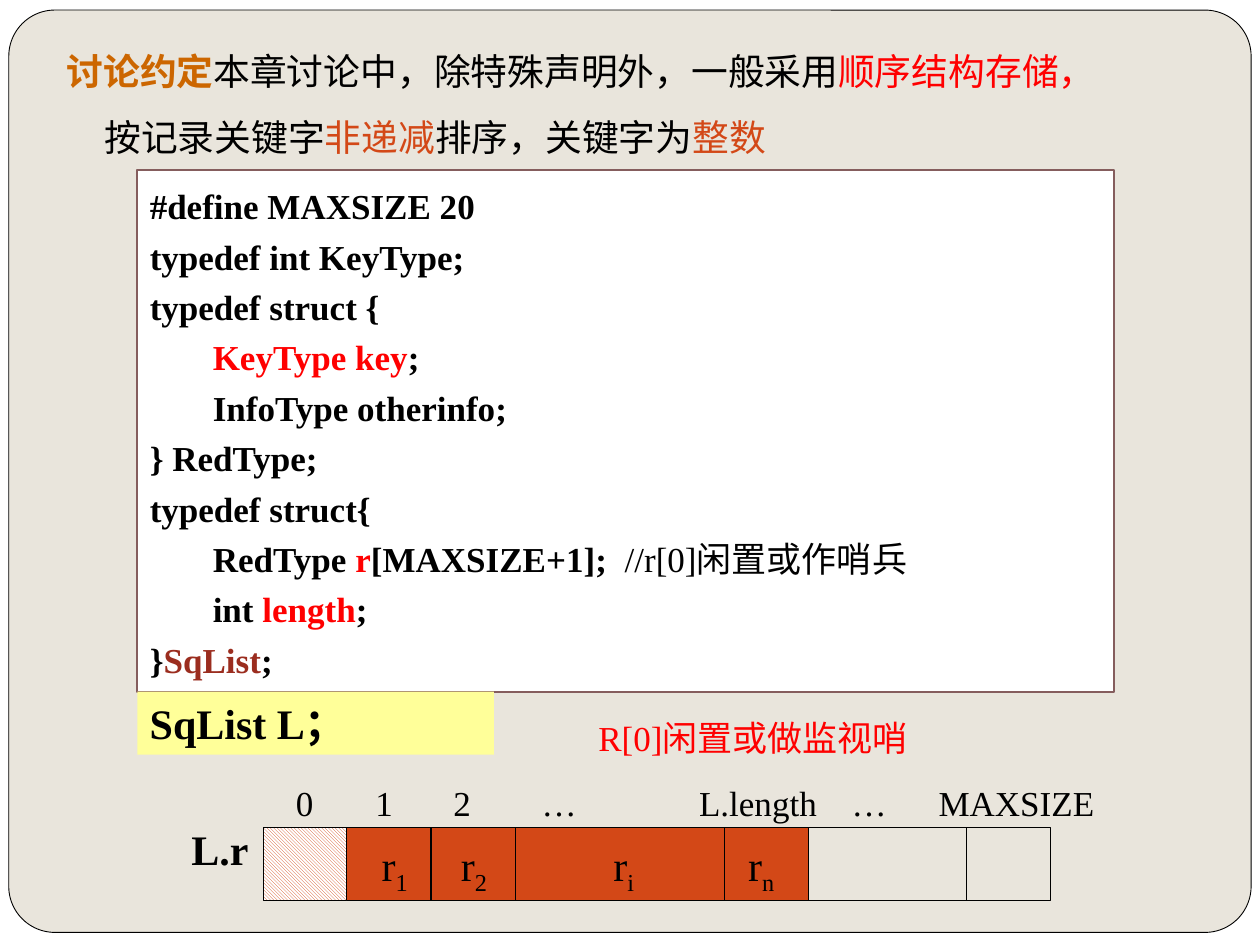
from lxml import etree
from pptx import Presentation
from pptx.dml.color import RGBColor
from pptx.enum.dml import MSO_PATTERN
from pptx.enum.shapes import MSO_CONNECTOR, MSO_SHAPE
from pptx.enum.text import MSO_ANCHOR, PP_ALIGN
from pptx.oxml.ns import qn
from pptx.util import Inches, Pt

RECT, ROUNDED = MSO_SHAPE.RECTANGLE, MSO_SHAPE.ROUNDED_RECTANGLE
STRAIGHT = MSO_CONNECTOR.STRAIGHT
HATCH = MSO_PATTERN.LIGHT_DOWNWARD_DIAGONAL
TOP, LEFT = MSO_ANCHOR.TOP, PP_ALIGN.LEFT

FONT = "Times New Roman"
BLACK = RGBColor(0x00, 0x00, 0x00)
WHITE = RGBColor(0xFF, 0xFF, 0xFF)
BEIGE = RGBColor(0xE9, 0xE5, 0xDC)
RED = RGBColor(0xFF, 0x00, 0x00)
ORANGE = RGBColor(0xD3, 0x48, 0x17)
AMBER = RGBColor(0xCC, 0x66, 0x00)
BRICK = RGBColor(0x9B, 0x2D, 0x1F)
MAUVE = RGBColor(0x85, 0x5D, 0x5D)
YELLOW = RGBColor(0xFF, 0xFF, 0x99)

ARRAY_TOP, ARRAY_HEIGHT = 6.57, 0.58
ARRAY_LEFT, ARRAY_RIGHT = 2.09, 8.34
FIRST_RECORD, LAST_RECORD_END = 2.75, 6.42
DIVIDERS = (3.42, 4.09, 5.75, 7.67)

# A run is (text, colour) or (text, colour, bold).
CONVENTION = [
    ("讨论约定", AMBER, True),
    ("本章讨论中，除特殊声明外，一般采用", BLACK),
    ("顺序结构存储，", RED),
    ("按记录关键字", BLACK),
    ("非递减", ORANGE),
    ("排序，关键字为", BLACK),
    ("整数", ORANGE),
]
CODE = [
    [("#define MAXSIZE 20", BLACK)],
    [("typedef int KeyType;", BLACK)],
    [("typedef struct {", BLACK)],
    [("\t", BLACK), ("KeyType key", RED), (";", BLACK)],
    [("\tInfoType otherinfo;", BLACK)],
    [("} RedType;", BLACK)],
    [("typedef struct{", BLACK)],
    [("\tRedType ", BLACK), ("r", RED), ("[MAXSIZE+1];  ", BLACK),
     ("//r[0]闲置或作哨兵", BLACK, False)],
    [("\tint ", BLACK), ("length", RED), (";", BLACK)],
    [("}", BLACK), ("SqList", BRICK), (";", BLACK)],
]
INDEXES = ["0", "1", "2", "…", "L.length", "…", "MAXSIZE"]
INDEX_TABS = (0.63, 1.25, 1.95, 3.2, 4.41, 5.1)
RECORD_TABS = (0.63, 1.84, 2.91)


def add_box(slide, x, y, w, h, fill=None, line=None, width=0.75, kind=RECT):
    sp = slide.shapes.add_shape(kind, Inches(x), Inches(y), Inches(w), Inches(h))
    sp.shadow.inherit = False
    if fill is None:
        sp.fill.background()
    else:
        sp.fill.solid()
        sp.fill.fore_color.rgb = fill
    if line is None:
        sp.line.fill.background()
    else:
        sp.line.color.rgb = line
        sp.line.width = Pt(width)
    return sp


def add_divider(slide, x):
    line = slide.shapes.add_connector(
        STRAIGHT, Inches(x), Inches(ARRAY_TOP),
        Inches(x), Inches(ARRAY_TOP + ARRAY_HEIGHT))
    line.line.color.rgb = BLACK
    line.line.width = Pt(0.75)
    etree.SubElement(line._element.spPr, qn("a:effectLst"))


def add_text(slide, x, y, w, h, lines, size, **style):
    sp = slide.shapes.add_textbox(Inches(x), Inches(y), Inches(w), Inches(h))
    write(sp, lines, size, **style)
    return sp


def write(sp, lines, size, bold=False, spacing=1.0):
    tf = sp.text_frame
    tf.word_wrap = True
    tf.vertical_anchor = TOP
    for i, runs in enumerate(lines):
        p = tf.add_paragraph() if i else tf.paragraphs[0]
        p.alignment = LEFT
        p.line_spacing = spacing
        for text, color, *own_bold in runs:
            r = p.add_run()
            r.text = text
            r.font.name = FONT
            r.font.size = Pt(size)
            r.font.bold = own_bold[0] if own_bold else bold
            r.font.color.rgb = color


def set_tabs(sp, stops):
    pPr = sp.text_frame.paragraphs[0]._p.get_or_add_pPr()
    tabs = etree.SubElement(pPr, qn("a:tabLst"))
    for stop in stops:
        etree.SubElement(tabs, qn("a:tab"), pos=str(Inches(stop)), algn="l")


def add_convention(slide):
    sp = add_text(slide, 0.43, 0.16, 8.5, 1.2, [CONVENTION], 21, spacing=1.5)
    pPr = sp.text_frame.paragraphs[0]._p.get_or_add_pPr()
    pPr.set("marL", str(Inches(0.3)))
    pPr.set("indent", str(Inches(-0.3)))


def add_code(slide):
    write(add_box(slide, 1.09, 1.35, 7.75, 4.14, WHITE, MAUVE, 1),
          CODE, 20, bold=True, spacing=1.2)
    write(add_box(slide, 1.09, 5.49, 2.83, 0.5, YELLOW),
          [[("SqList L；", BLACK)]], 24, bold=True)


def add_array(slide):
    add_box(slide, FIRST_RECORD, ARRAY_TOP, LAST_RECORD_END - FIRST_RECORD,
            ARRAY_HEIGHT, ORANGE, BLACK)
    add_box(slide, ARRAY_LEFT, ARRAY_TOP, ARRAY_RIGHT - ARRAY_LEFT,
            ARRAY_HEIGHT, line=BLACK)
    for x in DIVIDERS:
        add_divider(slide, x)
    sentinel = add_box(slide, ARRAY_LEFT, ARRAY_TOP, FIRST_RECORD - ARRAY_LEFT,
                       ARRAY_HEIGHT, line=BLACK)
    sentinel.fill.patterned()
    sentinel.fill.pattern = HATCH
    sentinel.fill.fore_color.rgb = ORANGE
    sentinel.fill.back_color.rgb = WHITE


def add_array_labels(slide):
    indexes = add_text(slide, 2.25, 6.15, 6.58, 0.44,
                       [[("\t".join(INDEXES), BLACK)]], 20)
    set_tabs(indexes, INDEX_TABS)
    add_text(slide, 1.42, 6.49, 0.92, 0.5, [[("L.r", BLACK)]], 24, bold=True)

    runs = []
    for subscript in "12in":
        runs += [("\tr" if runs else "r", BLACK), (subscript, BLACK)]
    records = add_text(slide, 2.93, 6.61, 3.63, 0.5, [runs], 24)
    set_tabs(records, RECORD_TABS)
    for r in records.text_frame.paragraphs[0].runs[1::2]:
        r._r.get_or_add_rPr().set("baseline", "-25000")


def main():
    prs = Presentation()
    prs.slide_width, prs.slide_height = Inches(10), Inches(7.5)
    slide = prs.slides.add_slide(prs.slide_layouts[6])
    slide.background.fill.solid()
    slide.background.fill.fore_color.rgb = WHITE
    panel = add_box(slide, 0.07, 0.08, 9.86, 7.32, BEIGE, BLACK, 0.5, ROUNDED)
    panel.adjustments[0] = 0.05
    add_convention(slide)
    add_text(slide, 4.65, 5.47, 4.99, 0.6, [[("R[0]闲置或做监视哨", RED)]], 20,
             spacing=1.5)
    add_code(slide)
    add_array(slide)
    add_array_labels(slide)
    prs.save("out.pptx")


if __name__ == "__main__":
    main()
